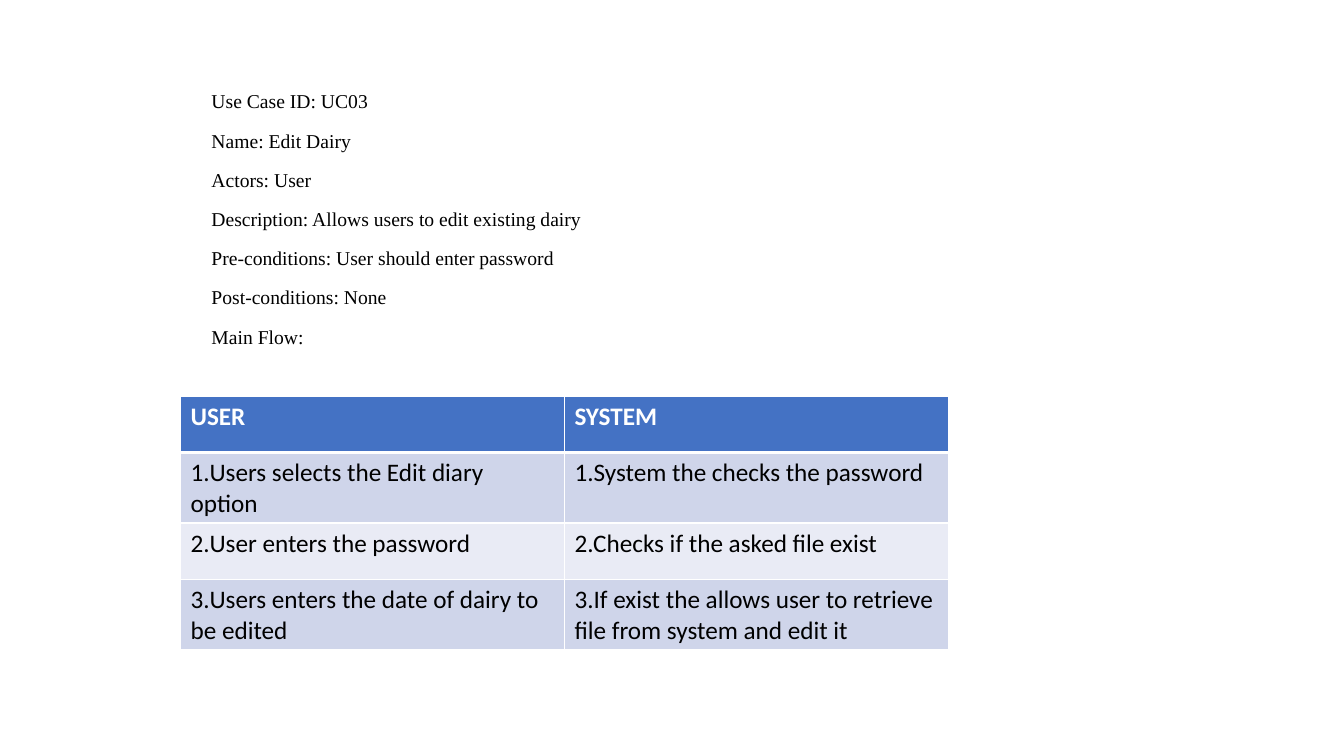
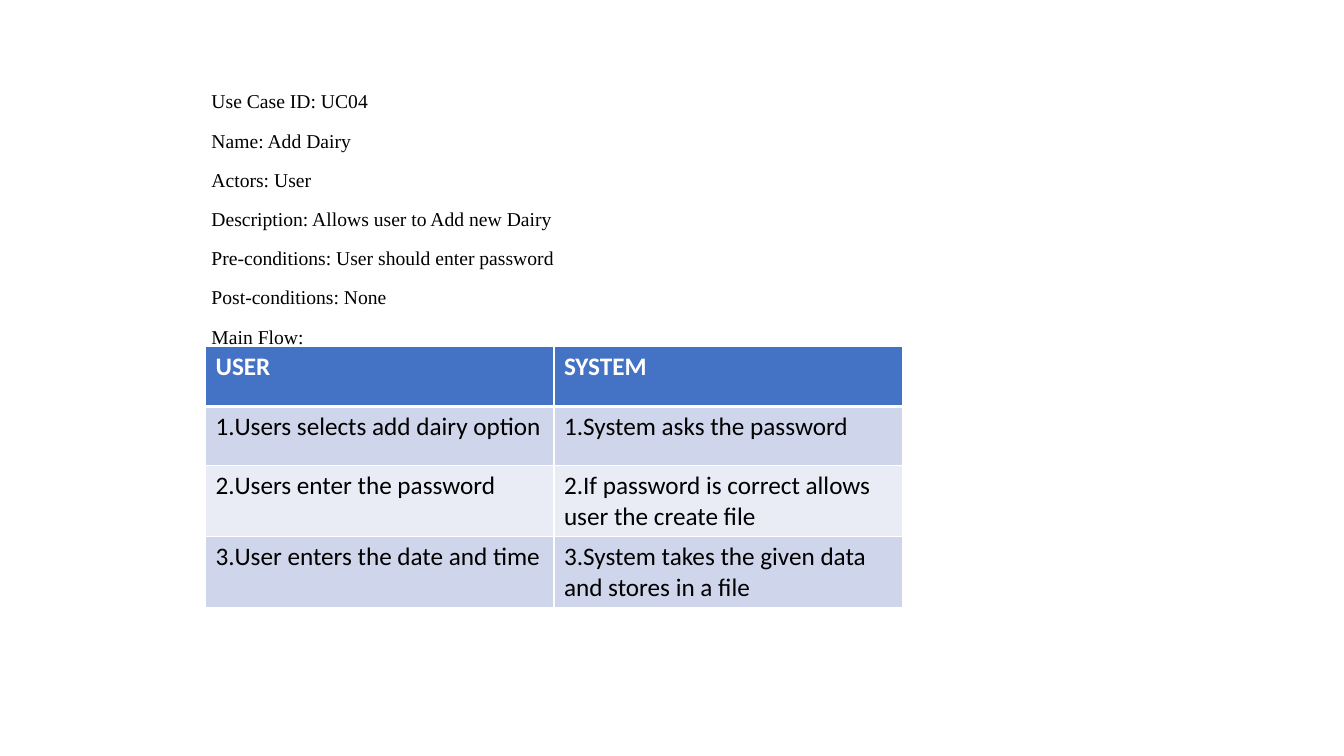
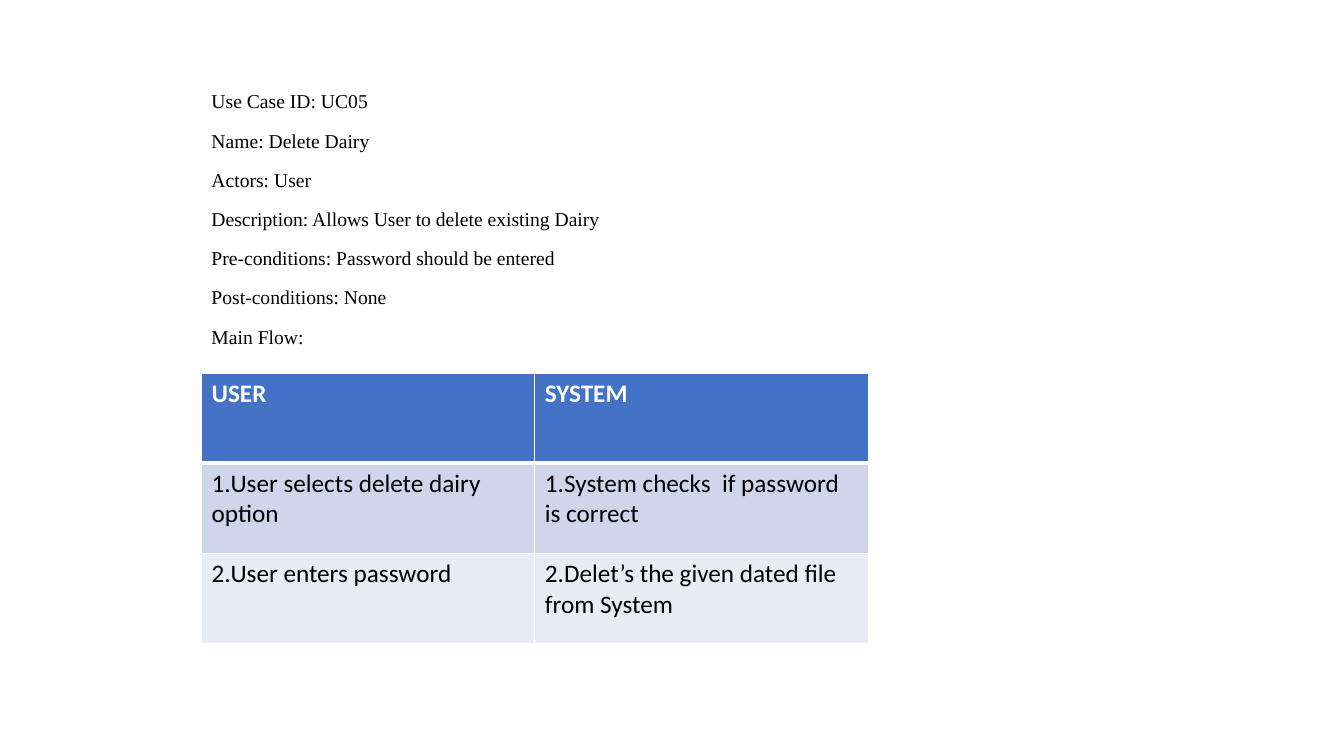
from lxml import etree
from pptx import Presentation
from pptx.dml.color import RGBColor
from pptx.enum.text import MSO_ANCHOR
from pptx.oxml.ns import qn
from pptx.util import Cm, Pt

TOP = MSO_ANCHOR.TOP
WHITE, BLACK, BLUE = "FFFFFF", "000000", "4472C4"
BANDS = ["CFD5EA", "E9EBF5"]
LABELS = ["Use Case ID", "Name", "Actors", "Description",
          "Pre-conditions", "Post-conditions", "Main Flow"]
HEADS = ("USER", "SYSTEM")

CASES = [
    dict(facts=["UC03", "Edit Dairy", "User",
                "Allows users to edit existing dairy",
                "User should enter password", "None", ""],
         intro=(5.08, 1.73, 20.62, 8),
         grid=(4.55, 9.98, 19.35), heights=[1.42, 1.5, 1.42, 1.42],
         steps=[("1.Users selects the Edit diary option",
                 "1.System the checks the password"),
                ("2.User enters the password",
                 "2.Checks if the asked file exist"),
                ("3.Users enters the date of dairy to be edited",
                 "3.If exist the allows user to retrieve file from system "
                 "and edit it")]),
    dict(facts=["UC04", "Add Dairy", "User",
                "Allows user to Add new Dairy",
                "User should enter password", "None", ""],
         intro=(5.08, 1.73, 23.62, 8),
         grid=(5.18, 8.74, 17.56), heights=[1.5] * 4,
         steps=[("1.Users selects add dairy option",
                 "1.System asks the password"),
                ("2.Users enter the password",
                 "2.If password is correct allows user the create file"),
                ("3.User enters the date and time",
                 "3.System takes the given data and stores in a file")]),
    dict(facts=["UC05", "Delete Dairy", "User",
                "Allows User to delete existing Dairy",
                "Password should be entered", "None", ""],
         intro=(5.08, 1.73, 23.62, 8),
         grid=(5.08, 9.4, 16.8), heights=[2.27] * 3,
         steps=[("1.User selects delete dairy option",
                 "1.System checks  if password is correct"),
                ("2.User enters password",
                 "2.Delet’s the given dated file from System")]),
]


def color(code):
    return RGBColor.from_string(code)


def add_run(para, text, font, size, code, bold=False):
    run = para.add_run()
    run.text = text
    run.font.name = font
    run.font.size = Pt(size)
    run.font.bold = bold
    run.font.color.rgb = color(code)


def add_facts(slide, box, facts):
    frame = slide.shapes.add_textbox(*map(Cm, box)).text_frame
    frame.word_wrap = True
    frame.vertical_anchor = TOP
    for i, (label, fact) in enumerate(zip(LABELS, facts)):
        para = frame.add_paragraph() if i else frame.paragraphs[0]
        para.line_spacing = Pt(28)
        add_run(para, f"{label}: {fact}".rstrip(),
                "Times New Roman", 14, BLACK)


def add_edges(cell, row):
    props = cell._tc.get_or_add_tcPr()
    widths = {"L": 1, "R": 1, "T": 3 if row == 1 else 1,
              "B": 3 if row == 0 else 1}
    for side, width in widths.items():
        line = etree.SubElement(props, qn("a:ln" + side), w=str(Pt(width)))
        fill = etree.SubElement(line, qn("a:solidFill"))
        etree.SubElement(fill, qn("a:srgbClr"), val=WHITE)


def add_steps(slide, box, heights, steps):
    left, top, width = box
    rows = [HEADS, *steps]
    table = slide.shapes.add_table(
        len(rows), len(HEADS), Cm(left), Cm(top), Cm(width),
        Cm(sum(heights))).table
    for r, (texts, height) in enumerate(zip(rows, heights)):
        table.rows[r].height = Cm(height)
        head = r == 0
        for c, text in enumerate(texts):
            cell = table.cell(r, c)
            add_edges(cell, r)
            cell.fill.solid()
            cell.fill.fore_color.rgb = color(BLUE if head else BANDS[(r - 1) % 2])
            add_run(cell.text_frame.paragraphs[0], text, "Calibri", 18,
                    WHITE if head else BLACK, head)


def add_case(deck, case):
    slide = deck.slides.add_slide(deck.slide_layouts[6])
    add_facts(slide, case["intro"], case["facts"])
    add_steps(slide, case["grid"], case["heights"], case["steps"])


deck = Presentation()
deck.slide_width, deck.slide_height = Cm(33.87), Cm(19.05)
for case in CASES:
    add_case(deck, case)
deck.save("out.pptx")
